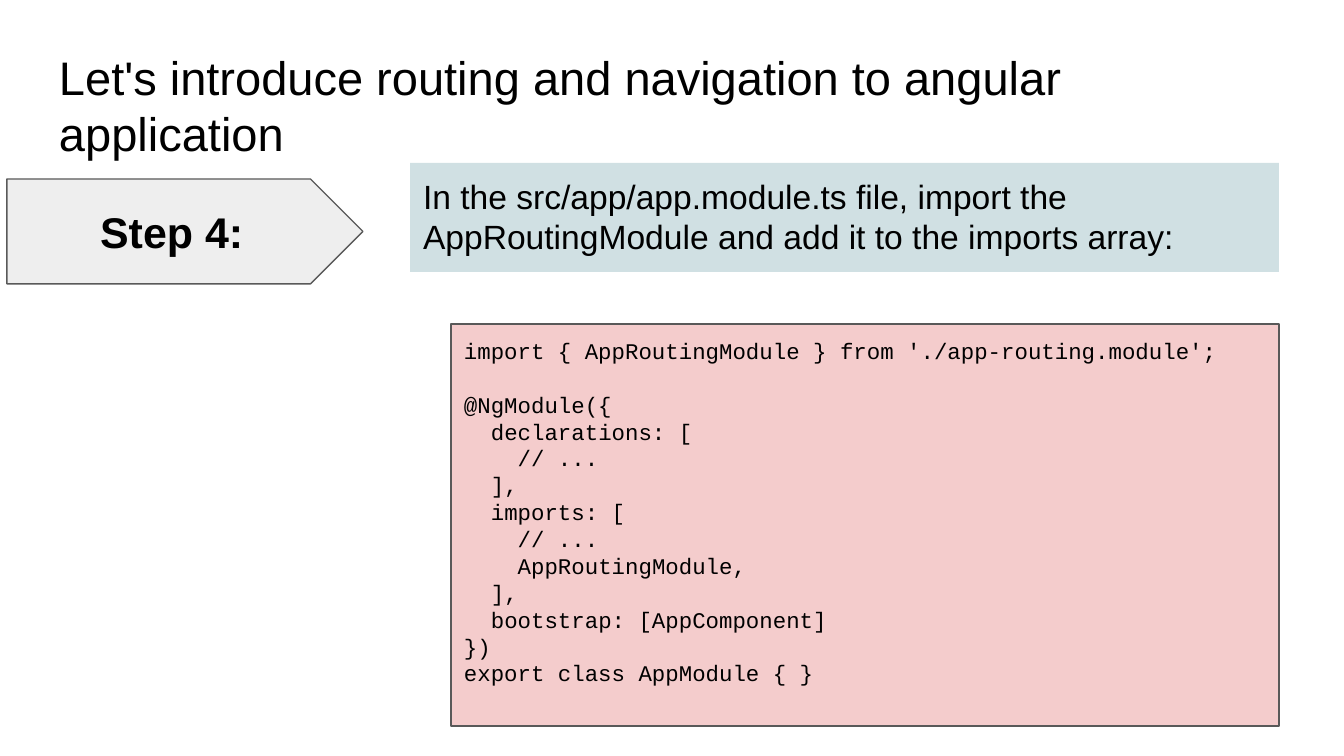
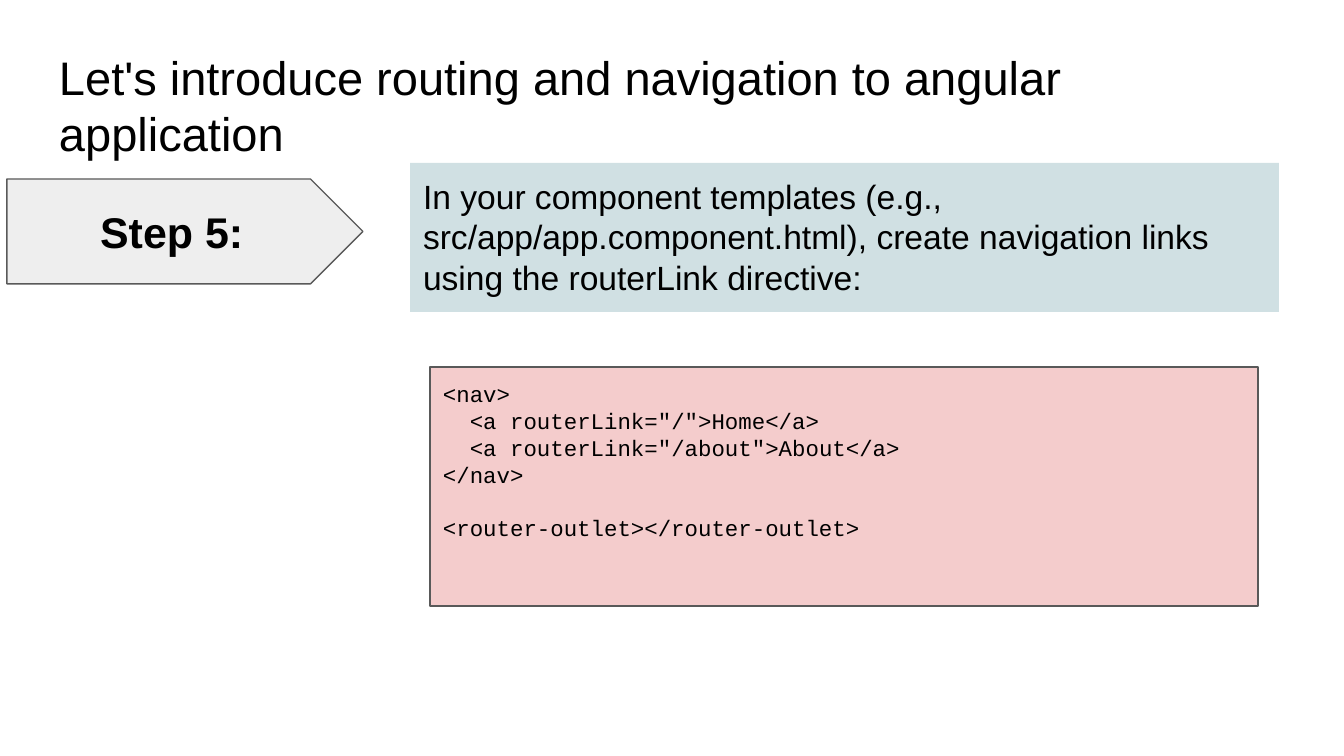
from pptx import Presentation
from pptx.dml.color import RGBColor
from pptx.enum.shapes import MSO_SHAPE
from pptx.enum.text import MSO_ANCHOR, MSO_AUTO_SIZE, PP_ALIGN
from pptx.util import Emu, Pt

PX = 914400 / 134.4
PAD = 13
LEAD = 1.2  # line height in ems
TAB = 7.2   # width of one code letter in points

INK = {"text": "000000", "line": "595959", "step": "EEEEEE",
       "note": "D0E0E3", "code": "F4CCCC", "page": "FFFFFF"}

FONT = {
    "title": {"name": "Arial", "size": Pt(25.2), "bold": False},
    "step": {"name": "Arial", "size": Pt(23), "bold": True},
    "note": {"name": "Arial", "size": Pt(18), "bold": False},
    "code": {"name": "Courier New", "size": Pt(12), "bold": False},
}

TITLE = "Let's introduce routing and navigation to angular application"

STEPS = [
    {
        "step": "Step 4:",
        "note": "In the src/app/app.module.ts file, import the "
                "AppRoutingModule and add it to the imports array:",
        "tall": 109,
        "box": (451, 324, 828, 402),
        "code": """import { AppRoutingModule } from './app-routing.module';

@NgModule({
  declarations: [
    // ...
  ],
  imports: [
    // ...
    AppRoutingModule,
  ],
  bootstrap: [AppComponent]
})
export class AppModule { }""",
    },
    {
        "step": "Step 5:",
        "note": "In your component templates (e.g., "
                "src/app/app.component.html), create navigation links "
                "using the routerLink directive:",
        "tall": 149,
        "box": (430, 367, 828, 239),
        "code": """<nav>
  <a routerLink="/">Home</a>
  <a routerLink="/about">About</a>
</nav>

<router-outlet></router-outlet>""",
    },
]


def px(n):
    return Emu(round(n * PX))


def put(obj, vals):
    for key, val in vals.items():
        setattr(obj, key, val)


def place(shape, box):
    put(shape, dict(zip(("left", "top", "width", "height"), map(px, box))))


def frame(shape, **more):
    """Set the margins and wrapping that all text shares."""
    text = shape.text_frame
    sides = ("left", "right", "top", "bottom")
    put(text, {f"margin_{side}": px(PAD) for side in sides})
    put(text, {"word_wrap": True, "auto_size": MSO_AUTO_SIZE.NONE,
               "vertical_anchor": MSO_ANCHOR.TOP, **more})
    return text


def write(para, words, kind, align=PP_ALIGN.LEFT):
    run = para.add_run()
    run.text = words
    put(run.font, FONT[kind])
    run.font.color.rgb = RGBColor.from_string(INK["text"])
    put(para, {"alignment": align,
               "line_spacing": Pt(FONT[kind]["size"].pt * LEAD)})


def block(slide, form, box, kind, edge=True):
    """Add a filled shape, with or without an outline."""
    shape = slide.shapes.add_shape(form, *map(px, box))
    shape.shadow.inherit = False
    shape.fill.solid()
    shape.fill.fore_color.rgb = RGBColor.from_string(INK[kind])
    if edge:
        shape.line.color.rgb = RGBColor.from_string(INK["line"])
        shape.line.width = Pt(0.75)
    else:
        shape.line.fill.background()
    return shape


def head(slide, box):
    title = slide.shapes.title
    place(title, box)
    write(frame(title).paragraphs[0], TITLE, "title")


def arrow(slide, box, words):
    shape = block(slide, MSO_SHAPE.PENTAGON, box, "step")
    text = frame(shape, vertical_anchor=MSO_ANCHOR.MIDDLE)
    write(text.paragraphs[0], words, "step", PP_ALIGN.CENTER)


def note(slide, box, words):
    shape = block(slide, MSO_SHAPE.RECTANGLE, box, "note", edge=False)
    text = frame(shape, auto_size=MSO_AUTO_SIZE.SHAPE_TO_FIT_TEXT)
    write(text.paragraphs[0], words, "note")


def code(slide, box, lines):
    """Write code; depth becomes an indent, an empty line a space before."""
    text = frame(block(slide, MSO_SHAPE.RECTANGLE, box, "code"))
    para, gap = text.paragraphs[0], 0
    for line in lines.split("\n"):
        words = line.lstrip()
        if not words:
            gap += FONT["code"]["size"].pt * LEAD
            continue
        if para.runs:
            para = text.add_paragraph()
        write(para, words, "code")
        para.space_before = Pt(gap)
        depth = len(line) - len(words)
        props = para._p.get_or_add_pPr()
        props.set("marL", str(Pt(depth * TAB)))
        props.set("indent", "0")
        gap = 0


def page(deck, step):
    slide = deck.slides.add_slide(deck.slide_layouts[5])
    slide.background.fill.solid()
    slide.background.fill.fore_color.rgb = RGBColor.from_string(INK["page"])
    head(slide, (46, 35, 1252, 85))
    arrow(slide, (7, 179, 356, 105), step["step"])
    note(slide, (410, 163, 869, step["tall"]), step["note"])
    code(slide, step["box"], step["code"])


def main():
    deck = Presentation()
    put(deck, {"slide_width": px(1344), "slide_height": px(756)})
    for step in STEPS:
        page(deck, step)
    deck.save("out.pptx")


if __name__ == "__main__":
    main()
